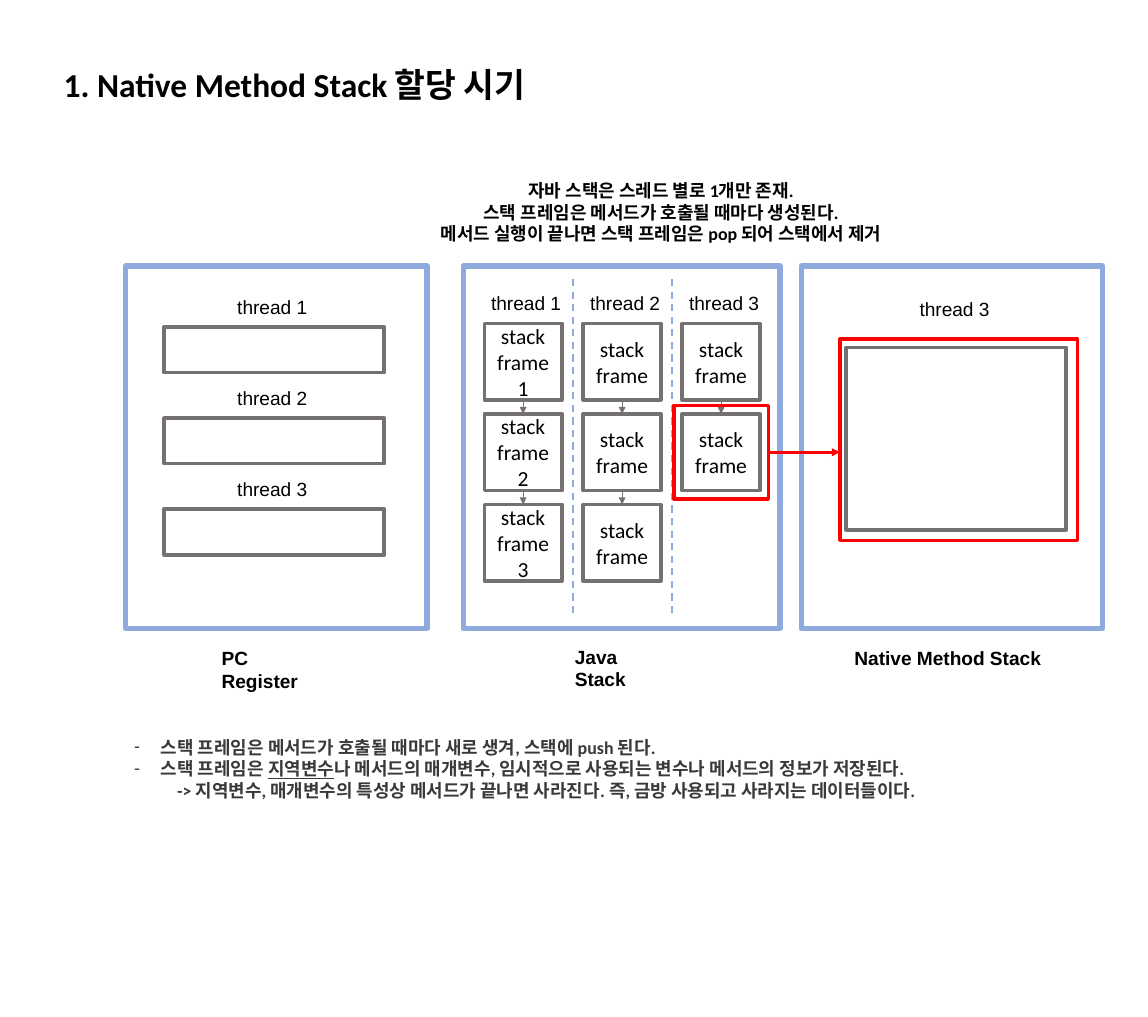
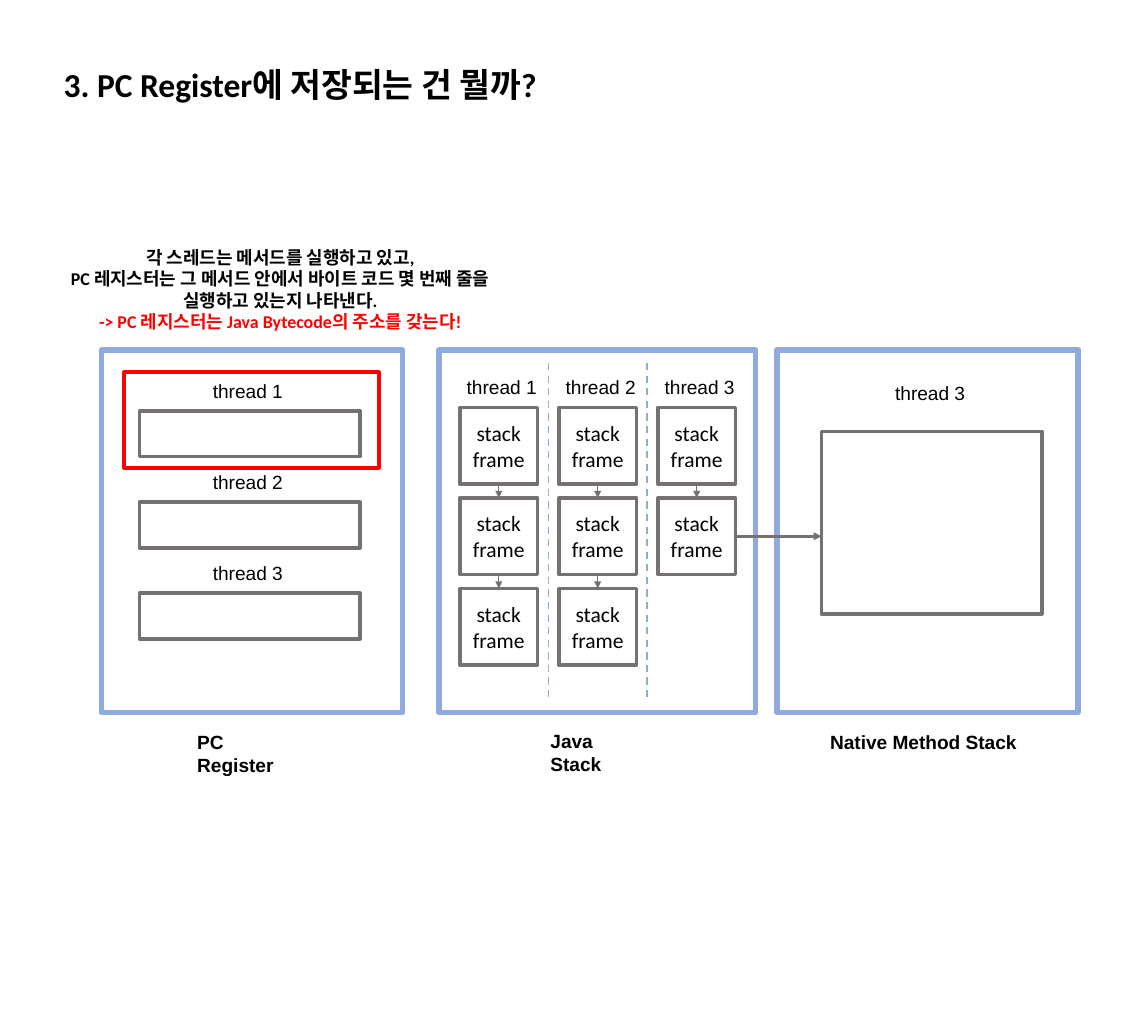
from lxml import etree
from pptx import Presentation
from pptx.dml.color import RGBColor
from pptx.enum.dml import MSO_LINE
from pptx.enum.shapes import MSO_CONNECTOR, MSO_SHAPE
from pptx.enum.text import MSO_ANCHOR, MSO_AUTO_SIZE, PP_ALIGN
from pptx.oxml.ns import qn
from pptx.util import Cm, Pt

RECT = MSO_SHAPE.RECTANGLE
STRAIGHT = MSO_CONNECTOR.STRAIGHT
DASH = MSO_LINE.DASH
MIDDLE = MSO_ANCHOR.MIDDLE
GROW = MSO_AUTO_SIZE.SHAPE_TO_FIT_TEXT
LEFT, CENTER = PP_ALIGN.LEFT, PP_ALIGN.CENTER
BOTTOM_SIDE, TOP_SIDE, RIGHT_SIDE = 2, 0, 3

COLORS = {"panel": "8FAADC", "box": "767171", "mark": "FF0000",
          "text": "000000", "note": "3B3838"}
HEAD_FONT, BODY_FONT = "Arial", "Calibri"

# Sizes in cm
SLIDE_W, SLIDE_H = 33.87, 30
PANEL_H = 10.69
SLOT_W, SLOT_H, SLOT_STEP = 6.5, 1.35, 2.69
FRAME_W, FRAME_H = 2.29, 2.26
COLUMN_STEP, FRAME_STEP = 2.92, 2.67


def rgb(name):
    return RGBColor.from_string(COLORS[name])


# Basic parts
def add_run(p, text, size, font=BODY_FONT, color="text", bold=False,
            underline=None):
    r = p.add_run()
    r.text = text
    r.font.size = Pt(size)
    r.font.name = font
    r.font.color.rgb = rgb(color)
    r.font.bold = bold
    r.font.underline = underline


def add_text(s, x, y, w, h, lines, size, align=LEFT, **style):
    """Each line is a list of (text, style changes) pairs."""
    tf = s.shapes.add_textbox(Cm(x), Cm(y), Cm(w), Cm(h)).text_frame
    tf.word_wrap = True
    tf.auto_size = GROW
    for i, line in enumerate(lines):
        p = tf.paragraphs[0] if i == 0 else tf.add_paragraph()
        p.alignment = align
        for text, changes in line:
            add_run(p, text, size, **{**style, **changes})
    return tf


def add_box(s, x, y, w, h, color="box", width=3):
    box = s.shapes.add_shape(RECT, Cm(x), Cm(y), Cm(w), Cm(h))
    box.shadow.inherit = False
    box.fill.background()
    box.line.color.rgb = rgb(color)
    box.line.width = Pt(width)
    return box


def add_outline(s, box, left, top, right, bottom):
    """Red frame around a box, with the given margins."""
    return add_box(s, box.left.cm - left, box.top.cm - top,
                   box.width.cm + left + right,
                   box.height.cm + top + bottom, "mark")


def add_line(s, x1, y1, x2, y2, color, width, arrow=False):
    line = s.shapes.add_connector(STRAIGHT, x1, y1, x2, y2)
    line.line.color.rgb = rgb(color)
    line.line.width = Pt(width)
    sp_pr = line.line._get_or_add_ln().getparent()
    etree.SubElement(sp_pr, qn("a:effectLst"))
    if arrow:
        etree.SubElement(line.line._get_or_add_ln(), qn("a:tailEnd"),
                         type="triangle")
    return line


def add_bullet(p, margin, char=None):
    p_pr = p._p.get_or_add_pPr()
    p_pr.set("marL", str(Cm(margin)))
    p_pr.set("indent", str(Cm(-margin) if char else 0))
    if char:
        etree.SubElement(p_pr, qn("a:buFont"), typeface=HEAD_FONT)
        etree.SubElement(p_pr, qn("a:buChar"), char=char)


def add_title(s, text):
    add_text(s, 1.63, 1.75, 16, 1.45, [[(text, {})]], 28, bold=True)


def add_label(s, x, y, number):
    add_text(s, x, y, 2.7, 0.94, [[(f"thread {number}", {})]], 16,
             font=HEAD_FONT)


def add_panel(s, x, y, w, caption, dx, dy, caption_w):
    add_box(s, x, y, w, PANEL_H, "panel", 4.5)
    add_text(s, x + dx, y + dy, caption_w, 0.94, [[(caption, {})]], 16,
             font=HEAD_FONT, bold=True)


# Regions of the diagram
def add_pc_register(s, x, y):
    add_panel(s, x, y, 8.89, "PC Register", 2.58, 11.09, 3.63)
    slots = []
    for i in range(3):
        slot_y = y + 1.79 + i * SLOT_STEP
        slots.append(add_box(s, x + 1.13, slot_y, SLOT_W, SLOT_H))
        add_label(s, x + 3.04, slot_y - 1.05, i + 1)
    return slots


def add_java_stack(s, x, y, numbered):
    add_panel(s, x, y, 9.35, "Java Stack", 3.04, 11.05, 3.3)
    columns = []
    for col, count in enumerate((3, 3, 2)):
        left = x + 0.62 + col * COLUMN_STEP
        add_label(s, left - 0.05, y + 0.63, col + 1)
        frames = []
        for row in range(count):
            frame = add_box(s, left, y + 1.69 + row * FRAME_STEP,
                            FRAME_W, FRAME_H)
            tf = frame.text_frame
            tf.word_wrap = True
            tf.vertical_anchor = MIDDLE
            suffix = str(row + 1) if numbered and col == 0 else ""
            for p, text in ((tf.paragraphs[0], "stack"),
                            (tf.add_paragraph(), "frame" + suffix)):
                p.alignment = CENTER
                add_run(p, text, 18)
            frames.append(frame)
        for upper, lower in zip(frames, frames[1:]):
            arrow = add_line(s, 0, 0, 0, 0, "box", 0.5, arrow=True)
            arrow.begin_connect(upper, BOTTOM_SIDE)
            arrow.end_connect(lower, TOP_SIDE)
        columns.append(frames)
    # Dashed dividers between threads
    for i in range(2):
        div_x = Cm(x + 3.23 + i * COLUMN_STEP)
        divider = add_line(s, div_x, Cm(y + 0.38), div_x, Cm(y + 10.32),
                           "panel", 1.5)
        divider.line.dash_style = DASH
    return columns


def add_native_stack(s, x, y):
    add_panel(s, x, y, 8.89, "Native Method Stack", 1.32, 11.09, 6.22)
    add_label(s, x + 3.24, y + 0.81, 3)
    return add_box(s, x + 1.32, y + 2.4, SLOT_W, 5.38)


def add_diagram(s, x, y, numbered=False):
    slots = add_pc_register(s, x, y)
    columns = add_java_stack(s, x + 9.96, y, numbered)
    native = add_native_stack(s, x + 19.93, y)
    return slots, columns[2][1], native


def add_call(s, source, target, color):
    """Level arrow from the source's right side to the target's left edge."""
    y = source.top + source.height // 2
    arrow = add_line(s, source.left + source.width, y, target.left, y,
                     color, 2.25, arrow=True)
    arrow.begin_connect(source, RIGHT_SIDE)


# Slides
def build_native_slide(s):
    add_title(s, "1. Native Method Stack 할당 시기")
    _, frame, native = add_diagram(s, 3.71, 7.85, numbered=True)
    frame_mark = add_outline(s, frame, 0.25, 0.25, 0.25, 0.25)
    native_mark = add_outline(s, native, 0.18, 0.25, 0.33, 0.31)
    add_call(s, frame_mark, native_mark, "mark")
    add_text(s, 12.19, 5.18, 14.63, 2.18, [
        [("자바 스택은 스레드 별로 1개만 존재.", {})],
        [("스택 프레임은 메서드가 호출될 때마다 생성된다.", {})],
        [("메서드 실행이 끝나면 스택 프레임은 pop 되어 스택에서 제거", {})],
    ], 15, CENTER, bold=True)
    # Notes below the diagram
    tf = add_text(s, 3.71, 21.59, 25.25, 2.18, [
        [("스택 프레임은 메서드가 호출될 때마다 새로 생겨, 스택에 push 된다.", {})],
        [("스택 프레임은 ", {}), ("지역변수", {"underline": True}),
         ("나 메서드의 매개변수, 임시적으로 사용되는 변수나 메서드의 정보가 저장된다.", {})],
        [("-> 지역변수, 매개변수의 특성상 메서드가 끝나면 사라진다. "
          "즉, 금방 사용되고 사라지는 데이터들이다.", {})],
    ], 15, color="note", bold=True)
    first, second, detail = tf.paragraphs
    add_bullet(first, 0.79, "-")
    add_bullet(second, 0.79, "-")
    detail.level = 1
    add_bullet(detail, 1.27)


def build_register_slide(s):
    add_title(s, "3. PC Register에 저장되는 건 뭘까?")
    slots, frame, native = add_diagram(s, 2.99, 10.33)
    add_call(s, frame, native, "box")
    add_outline(s, slots[0], 0.46, 1.14, 0.56, 0.33)
    add_text(s, 1.22, 7.14, 14.1, 2.82, [
        [("각 스레드는 메서드를 실행하고 있고,", {})],
        [("PC 레지스터는 그 메서드 안에서 바이트 코드 몇 번째 줄을 "
          "실행하고 있는지 나타낸다.", {})],
        [("-> PC 레지스터는 Java Bytecode의 주소를 갖는다!",
          {"color": "mark"})],
    ], 15, CENTER, bold=True)


def main():
    prs = Presentation()
    prs.slide_width, prs.slide_height = Cm(SLIDE_W), Cm(SLIDE_H)
    blank = prs.slide_layouts[6]
    for build in (build_native_slide, build_register_slide):
        build(prs.slides.add_slide(blank))
    prs.save("out.pptx")


if __name__ == "__main__":
    main()
